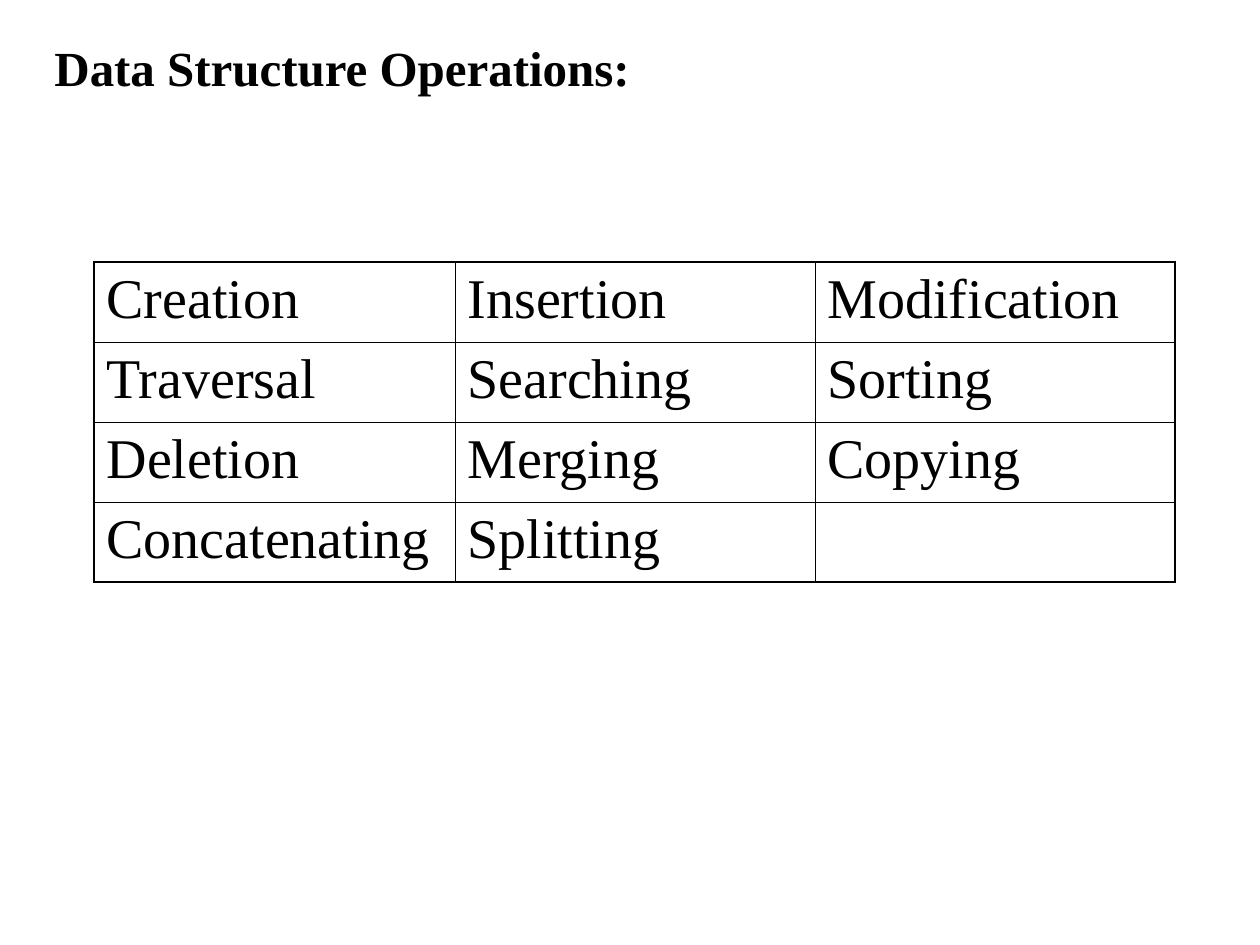
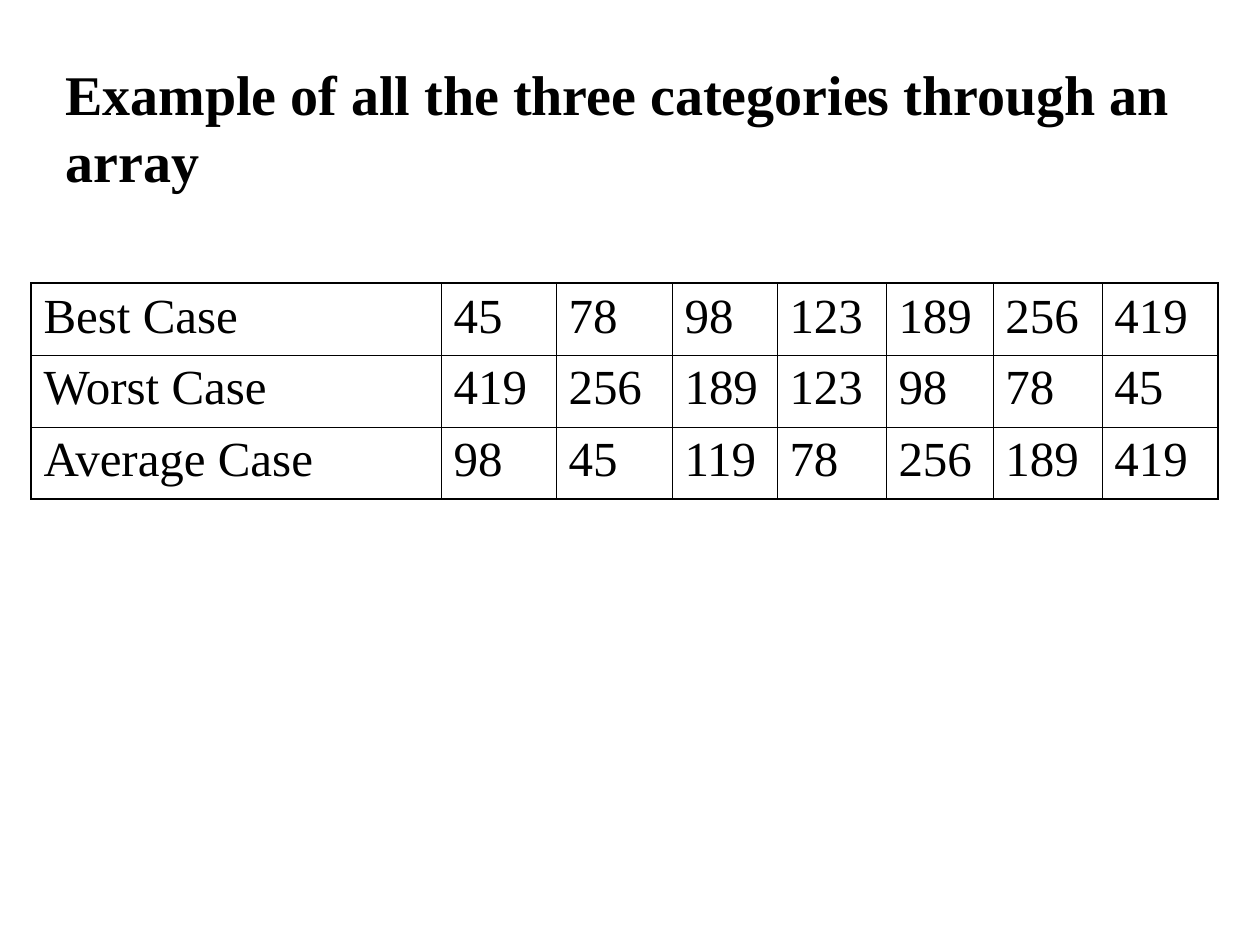
"""Build two slides, each with a bold title above a ruled table."""
from dataclasses import dataclass

from lxml import etree
from pptx import Presentation
from pptx.dml.color import RGBColor
from pptx.enum.text import MSO_AUTO_SIZE
from pptx.oxml.ns import qn
from pptx.util import Pt

FIT_SHAPE = MSO_AUTO_SIZE.SHAPE_TO_FIT_TEXT
PX = 914400 / 126
SLIDE_SIZE = (1260, 945)

SLIDES = [
    {
        "title": "Data Structure Operations:",
        "title_box": (42, 31, 1176, 72),
        "title_size": 28,
        "table_at": (94, 262),
        "columns": [361, 360, 360],
        "row_height": 80,
        "cell_size": 32,
        "rows": [
            ("Creation", "Insertion", "Modification"),
            ("Traversal", "Searching", "Sorting"),
            ("Deletion", "Merging", "Copying"),
            ("Concatenating", "Splitting", ""),
        ],
    },
    {
        "title": "Example of all the three categories through an array",
        "title_box": (53, 53, 1144, 147),
        "title_size": 32,
        "table_at": (31, 283),
        "columns": [410, 115, 116, 105, 109, 107, 109, 116],
        "row_height": 72,
        "cell_size": 28,
        "rows": [
            ("Best Case", 45, 78, 98, 123, 189, 256, 419),
            ("Worst Case", 419, 256, 189, 123, 98, 78, 45),
            ("Average Case", 98, 45, 119, 78, 256, 189, 419),
        ],
    },
]


@dataclass(frozen=True)
class Theme:
    font: str = "Times New Roman"
    ink: str = "000000"
    inner_line: float = 0.45
    outer_line: float = 1.08
    title_spacing: float = 0.625
    cell_spacing: float = 0.25
    pad_x: float = 12.6
    pad_y: float = 6.3


THEME = Theme()


def emu(*lengths):
    return [round(length * PX) for length in lengths]


def write(p, text, size, spacing, bold=False):
    p.text = str(text)
    p.space_before = Pt(size * spacing)
    p.font.name = THEME.font
    p.font.size = Pt(size)
    p.font.bold = bold
    p.font.color.rgb = RGBColor.from_string(THEME.ink)


def set_margins(target):
    target.margin_left, target.margin_right = emu(THEME.pad_x, THEME.pad_x)
    target.margin_top, target.margin_bottom = emu(THEME.pad_y, THEME.pad_y)


def rule_cell(cell, outer_sides):
    tc_pr = cell._tc.get_or_add_tcPr()
    for side in "LRTB":
        width = THEME.outer_line if side in outer_sides else THEME.inner_line
        ln = etree.SubElement(tc_pr, qn(f"a:ln{side}"), w=str(Pt(width)))
        fill = etree.SubElement(ln, qn("a:solidFill"))
        etree.SubElement(fill, qn("a:srgbClr"), val=THEME.ink)
    cell.fill.background()


def add_title(s, content):
    sp = s.shapes.add_textbox(*emu(*content["title_box"]))
    tf = sp.text_frame
    tf.word_wrap = True
    tf.auto_size = FIT_SHAPE
    set_margins(tf)
    write(tf.paragraphs[0], content["title"], content["title_size"],
          THEME.title_spacing, bold=True)


def add_ruled_table(s, content):
    rows, columns = content["rows"], content["columns"]
    size = (sum(columns), len(rows) * content["row_height"])
    table = s.shapes.add_table(len(rows), len(columns),
                               *emu(*content["table_at"], *size)).table
    table.first_row = table.horz_banding = False
    for column, width in zip(table.columns, emu(*columns)):
        column.width = width
    for i, values in enumerate(rows):
        table.rows[i].height = emu(content["row_height"])[0]
        for j, value in enumerate(values):
            cell = table.cell(i, j)
            set_margins(cell)
            write(cell.text_frame.paragraphs[0], value,
                  content["cell_size"], THEME.cell_spacing)
            edges = {"L": j == 0, "R": j == len(columns) - 1,
                     "T": i == 0, "B": i == len(rows) - 1}
            rule_cell(cell, [side for side, outer in edges.items() if outer])


def main():
    prs = Presentation()
    prs.slide_width, prs.slide_height = emu(*SLIDE_SIZE)
    for content in SLIDES:
        s = prs.slides.add_slide(prs.slide_layouts[6])
        add_title(s, content)
        add_ruled_table(s, content)
    prs.save("out.pptx")


if __name__ == "__main__":
    main()
